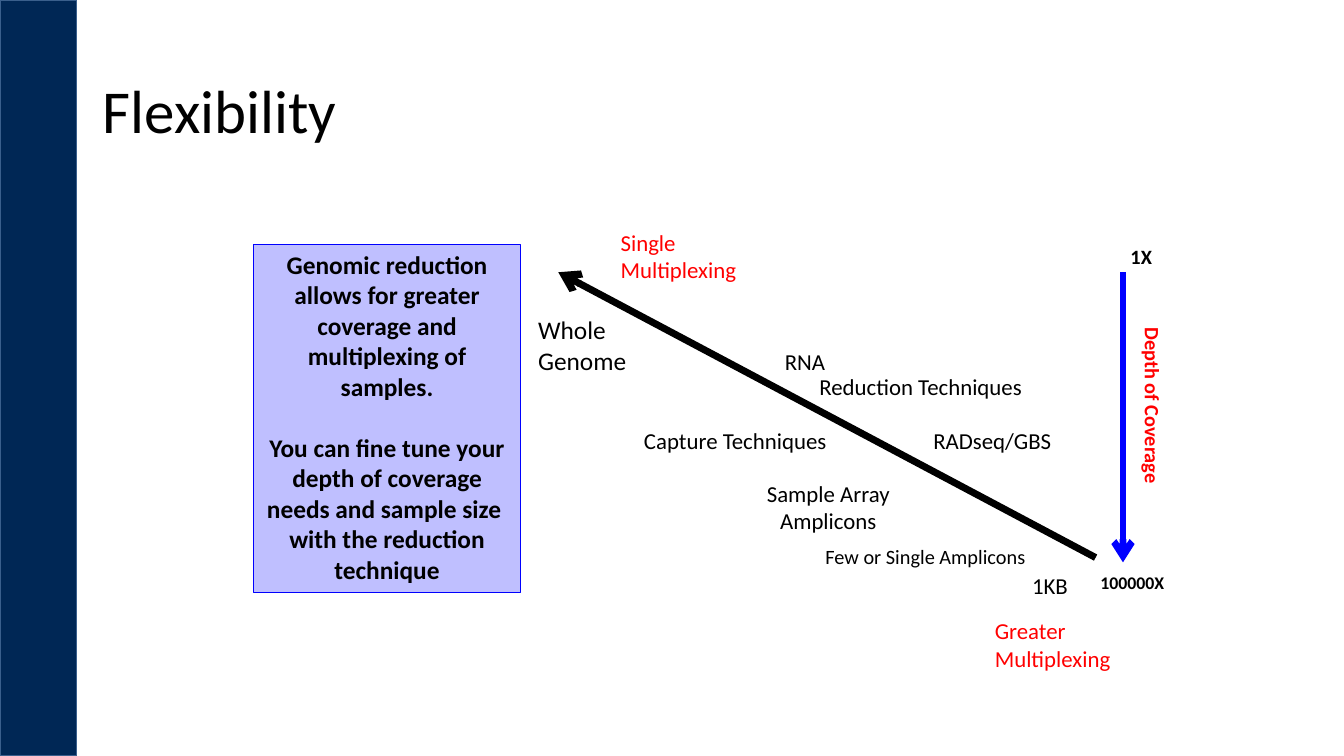
from lxml import etree
from pptx import Presentation
from pptx.dml.color import RGBColor
from pptx.enum.shapes import MSO_CONNECTOR, MSO_SHAPE
from pptx.enum.text import MSO_ANCHOR, PP_ALIGN
from pptx.oxml.ns import qn
from pptx.util import Cm, Pt

FONT = "Calibri"
BLACK, RED, BLUE = "000000", "FF0000", "0000FF"
NAVY, NAVY_EDGE = "002755", "3A5F8C"

# Boxes are left, top, width, height in cm
SLIDE = (33.87, 19.05)
SIDEBAR = (0, 0, 1.93, 19.05)
TITLE = ("Flexibility", (2.34, 1.02, 29.21, 3.68), 43.5)

SUMMARY_BOX = (6.4, 6.15, 6.71, 8.79)
SUMMARY = [
    "Genomic reduction allows for greater coverage and multiplexing of samples.",
    "You can fine tune your depth of coverage needs and sample size ",
    "with the reduction technique",
]
SUMMARY_SIZE, SUMMARY_GAP = 18.1, 22

# start, end, colour, width in points
ARROWS = [
    ((28.3, 6.86), (28.3, 14.17), BLUE, 4.75),
    ((27.61, 14.05), (14.07, 6.86), BLACK, 5),
]

# lines, box, size, colour
TECHNIQUES = [
    (["Whole Genome"], (13.31, 7.8, 3.63, 1.8), 18.1, BLACK),
    (["RNA"], (19.53, 8.64, 6.15, 0.97), 16.3, BLACK),
    (["Reduction Techniques"], (20.4, 9.27, 6.15, 0.97), 16.3, BLACK),
    (["Capture Techniques"], (15.98, 10.62, 5.3, 0.97), 16.3, BLACK),
    (["RADseq/GBS"], (23.27, 10.62, 3.73, 0.97), 16.3, BLACK),
    (["Few or Single Amplicons"], (20.55, 13.59, 5.7, 0.89), 14.5, BLACK),
    (["1KB"], (25.76, 14.27, 1.93, 0.97), 16.3, BLACK),
    (["Single Multiplexing"], (15.39, 5.64, 4.42, 1.65), 16.3, RED),
    (["Greater Multiplexing"], (24.82, 15.42, 4.42, 1.65), 16.3, RED),
]
ARRAY_AMPLICONS = (["Sample Array", "Amplicons"], (17.6, 11.96, 6.55, 1.65), 16.3, BLACK)

# lines, box, size, colour, rotation
DEPTHS = [
    (["1X"], (28.24, 6.02, 1.35, 0.89), 14.5, BLACK, 0),
    (["Depth of Coverage"], (26.29, 10.31, 5.51, 0.89), 14.5, RED, 90),
    (["100000X"], (27.48, 14.27, 2.36, 0.79), 12.7, BLACK, 0),
]


def rgb(value):
    return RGBColor.from_string(value)


def cm(values):
    return [Cm(v) for v in values]


def write(sp, lines, size, color=BLACK, bold=False, align=PP_ALIGN.LEFT):
    tf = sp.text_frame
    tf.word_wrap = True
    tf.vertical_anchor = MSO_ANCHOR.TOP
    for i, line in enumerate(lines):
        p = tf.paragraphs[0] if i == 0 else tf.add_paragraph()
        p.alignment = align
        r = p.add_run()
        r.text = line
        r.font.name = FONT
        r.font.size = Pt(size)
        r.font.bold = bold
        r.font.color.rgb = rgb(color)
    return tf


def add_label(s, lines, box, size, color=BLACK, rotation=0, **style):
    sp = s.shapes.add_textbox(*cm(box))
    sp.rotation = rotation
    return write(sp, lines, size, color, **style)


def add_rect(s, box, fill, edge, width):
    sp = s.shapes.add_shape(MSO_SHAPE.RECTANGLE, *cm(box))
    sp.shadow.inherit = False
    sp.fill.solid()
    sp.fill.fore_color.rgb = rgb(fill)
    sp.line.color.rgb = rgb(edge)
    sp.line.width = Pt(width)
    return sp


def add_arrow(s, start, end, color, width):
    line = s.shapes.add_connector(MSO_CONNECTOR.STRAIGHT, *cm(start + end))
    line.line.color.rgb = rgb(color)
    line.line.width = Pt(width)
    etree.SubElement(line.line._get_or_add_ln(), qn("a:tailEnd"), type="arrow")
    etree.SubElement(line._element.spPr, qn("a:effectLst"))


def add_summary(s):
    sp = add_rect(s, SUMMARY_BOX, BLUE, BLUE, 0.75)
    fill = sp._element.spPr.find(qn("a:solidFill"))
    etree.SubElement(fill[0], qn("a:alpha"), val="25000")
    tf = write(sp, SUMMARY, SUMMARY_SIZE, bold=True, align=PP_ALIGN.CENTER)
    tf.paragraphs[1].space_before = Pt(SUMMARY_GAP)


def main():
    prs = Presentation()
    prs.slide_width, prs.slide_height = cm(SLIDE)
    s = prs.slides.add_slide(prs.slide_layouts[6])

    add_rect(s, SIDEBAR, NAVY, NAVY_EDGE, 1)
    title, box, size = TITLE
    tf = add_label(s, [title], box, size)
    tf.vertical_anchor = MSO_ANCHOR.MIDDLE
    tf.paragraphs[0].line_spacing = 0.9

    for arrow in ARROWS:
        add_arrow(s, *arrow)
    for depth in DEPTHS:
        add_label(s, *depth, bold=True)
    for technique in TECHNIQUES:
        add_label(s, *technique)
    add_label(s, *ARRAY_AMPLICONS, align=PP_ALIGN.CENTER)
    add_summary(s)

    prs.save("out.pptx")


if __name__ == "__main__":
    main()
